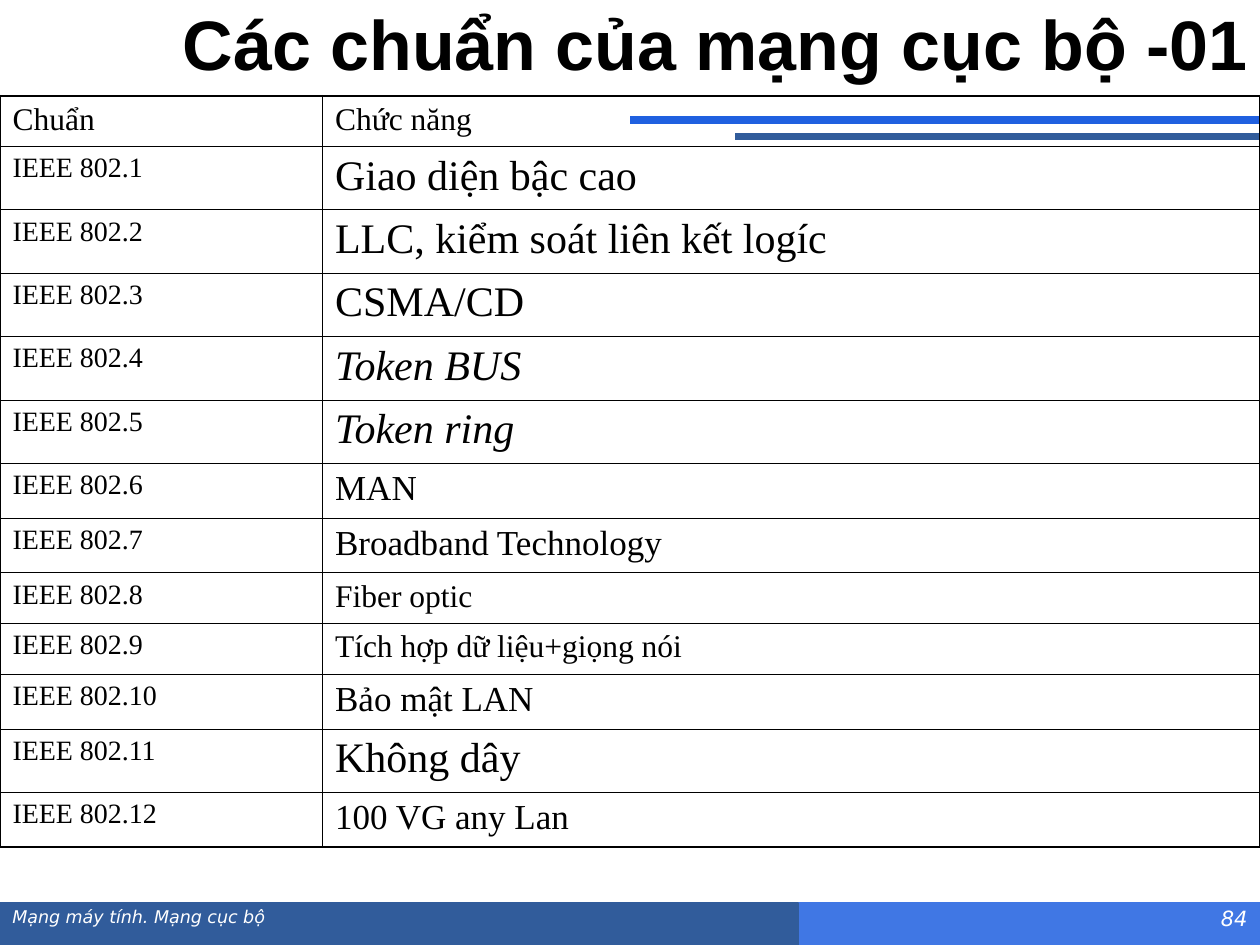
from lxml.etree import SubElement
from pptx import Presentation
from pptx.dml.color import RGBColor
from pptx.enum.shapes import MSO_CONNECTOR as Connector, MSO_SHAPE as Shape
from pptx.enum.text import MSO_ANCHOR as Anchor, PP_ALIGN as Align
from pptx.oxml.ns import qn
from pptx.util import Pt

BLACK = RGBColor(0x00, 0x00, 0x00)
WHITE = RGBColor(0xFF, 0xFF, 0xFF)
BRIGHT_BLUE = RGBColor(0x20, 0x60, 0xE0)
LIGHT_BLUE = RGBColor(0x40, 0x77, 0xE4)
DARK_BLUE = RGBColor(0x31, 0x5C, 0x9B)

PAGE_WIDTH, PAGE_HEIGHT = 720, 540
OUTER_BORDER, INNER_BORDER = 1.08, 0.45
ROW_HEIGHTS = {18: 29, 20: 31.3, 24: 36.2}  # by size of the function text

# Standard, function, text sizes, italic function
STANDARDS = [
    ("Chuẩn", "Chức năng", 18, 18, False),
    ("IEEE 802.1", "Giao diện bậc cao", 16, 24, False),
    ("IEEE 802.2", "LLC, kiểm soát liên kết logíc", 16, 24, False),
    ("IEEE 802.3", "CSMA/CD", 16, 24, False),
    ("IEEE 802.4", "Token BUS", 16, 24, True),
    ("IEEE 802.5", "Token ring", 16, 24, True),
    ("IEEE 802.6", "MAN", 16, 20, False),
    ("IEEE 802.7", "Broadband Technology", 16, 20, False),
    ("IEEE 802.8", "Fiber optic", 16, 18, False),
    ("IEEE 802.9", "Tích hợp dữ liệu+giọng nói", 16, 18, False),
    ("IEEE 802.10", "Bảo mật LAN", 16, 20, False),
    ("IEEE 802.11", "Không dây", 16, 24, False),
    ("IEEE 802.12", "100 VG any Lan", 16, 20, False),
]


def write(frame, text, name, size, color, bold=False, italic=False, align=Align.LEFT):
    para = frame.paragraphs[0]
    para.text = text
    para.alignment = align
    font = para.font
    font.name, font.size = name, Pt(size)
    font.bold, font.italic = bold, italic
    font.color.rgb = color


def add_text(page, left, top, width, height, text, *style, anchor=Anchor.TOP, **options):
    box = page.shapes.add_textbox(Pt(left), Pt(top), Pt(width), Pt(height))
    box.text_frame.word_wrap = True
    box.text_frame.vertical_anchor = anchor
    write(box.text_frame, text, *style, **options)


def add_band(page, left, top, width, height, color):
    band = page.shapes.add_shape(Shape.RECTANGLE, Pt(left), Pt(top), Pt(width), Pt(height))
    band.shadow.inherit = False
    band.fill.solid()
    band.fill.fore_color.rgb = color
    band.line.color.rgb = color
    band.line.width = Pt(0.75)


def add_rules(page, right, top, gap):
    rules = [(360, BRIGHT_BLUE), (300, DARK_BLUE)]
    for index, (length, color) in enumerate(rules):
        y = Pt(top + index * gap)
        rule = page.shapes.add_connector(Connector.STRAIGHT, Pt(right), y, Pt(right - length), y)
        rule.line.color.rgb = color
        rule.line.width = Pt(4.5)
        SubElement(rule.line._get_or_add_ln().getparent(), qn("a:effectLst"))


def set_borders(cell, widths):
    properties = cell._tc.get_or_add_tcPr()
    for side, width in widths.items():
        line = SubElement(properties, qn(f"a:ln{side}"), w=str(Pt(width)))
        fill = SubElement(line, qn("a:solidFill"))
        SubElement(fill, qn("a:srgbClr"), val=str(BLACK))


def add_standards_table(page, left, top, width):
    heights = [ROW_HEIGHTS[row[3]] for row in STANDARDS]
    last = len(STANDARDS) - 1
    table = page.shapes.add_table(
        len(STANDARDS), 2, Pt(left), Pt(top), Pt(width), Pt(sum(heights))
    ).table
    table.first_row = table.horz_banding = False
    first_width = 184.3
    table.columns[0].width = Pt(first_width)
    table.columns[1].width = Pt(width - first_width)

    for index, (standard, function, small, large, italic) in enumerate(STANDARDS):
        table.rows[index].height = Pt(heights[index])
        entries = [(standard, small, False), (function, large, italic)]
        for column, (text, size, slanted) in enumerate(entries):
            cell = table.cell(index, column)
            on_edge = {"L": column == 0, "R": column == 1, "T": index == 0, "B": index == last}
            set_borders(cell, {side: OUTER_BORDER if edge else INNER_BORDER
                               for side, edge in on_edge.items()})
            cell.fill.background()
            write(cell.text_frame, text, "Times New Roman", size, BLACK, italic=slanted)


def add_footer_bands(page, left, top, width, height):
    add_band(page, left + width / 2, top, width / 2, height, LIGHT_BLUE)
    add_band(page, left, top, 456, height, DARK_BLUE)


def add_footer_text(page, left, top, width, height):
    number_width = 102
    add_text(page, left, top, width - number_width, height, "Mạng máy tính. Mạng cục bộ",
             "DejaVu Sans", 10, WHITE, italic=True)
    add_text(page, left + width - number_width, top, number_width, height, "84",
             "DejaVu Sans", 12, WHITE, italic=True, align=Align.RIGHT)


def main():
    deck = Presentation()
    deck.slide_width, deck.slide_height = Pt(PAGE_WIDTH), Pt(PAGE_HEIGHT)
    page = deck.slides.add_slide(deck.slide_layouts[6])

    # Background decoration
    add_footer_bands(page, 0, 516, PAGE_WIDTH, 24)
    add_rules(page, PAGE_WIDTH, 68.5, 9.5)

    # Title
    add_text(page, 0, 0, PAGE_WIDTH, 49, "Các chuẩn của mạng cục bộ -01", "Arial", 40, BLACK,
             bold=True, align=Align.RIGHT, anchor=Anchor.MIDDLE)

    # Content and footer
    add_standards_table(page, 0, 54.7, PAGE_WIDTH)
    add_footer_text(page, 0, 514, PAGE_WIDTH, 24)
    deck.save("out.pptx")


if __name__ == "__main__":
    main()
